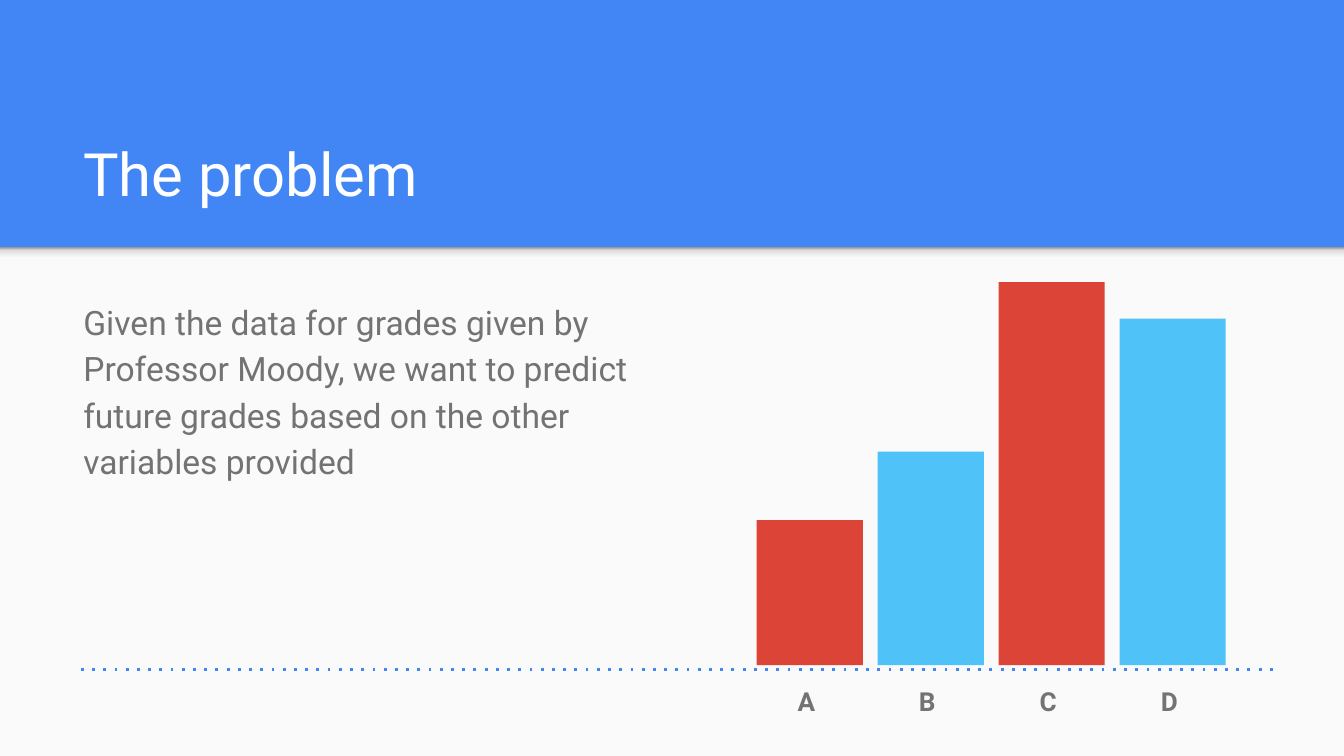
from dataclasses import dataclass

from lxml import etree
from pptx import Presentation
from pptx.dml.color import RGBColor
from pptx.enum.shapes import MSO_CONNECTOR, MSO_SHAPE
from pptx.enum.text import MSO_ANCHOR, MSO_AUTO_SIZE, PP_ALIGN
from pptx.oxml.ns import qn
from pptx.util import Inches, Pt

RECTANGLE = MSO_SHAPE.RECTANGLE
STRAIGHT = MSO_CONNECTOR.STRAIGHT
TOP, BOTTOM = MSO_ANCHOR.TOP, MSO_ANCHOR.BOTTOM
LEFT, CENTER = PP_ALIGN.LEFT, PP_ALIGN.CENTER
NO_AUTOFIT = MSO_AUTO_SIZE.NONE


@dataclass(frozen=True)
class Theme:
    font: str = "Roboto"
    blue: str = "4285F4"
    panel: str = "FAFAFA"
    red: str = "DB4437"
    sky: str = "4FC3F7"
    grey: str = "737373"
    white: str = "FFFFFF"
    shadow: tuple = ((0, "F9F9F9"), (36, "F9F9F9"), (80, "DEDEDE"), (100, "999999"))
    title_size: int = 32
    body_size: int = 18
    label_size: int = 14


THEME = Theme()
BARS = (
    ("A", 1.08, THEME.red),
    ("B", 1.59, THEME.sky),
    ("C", 2.85, THEME.red),
    ("D", 2.58, THEME.sky),
)
PAGE_WIDTH = 10
PAGE_HEIGHT = PAGE_WIDTH * 9 / 16
PANEL_TOP = 1.84
STEP = 0.9
BAR_LEFT, BAR_WIDTH, BAR_BOTTOM = 5.63, 0.79, 4.95
LABEL_LEFT, AXIS_TOP = 5.55, 4.98


def add_block(page, left, top, width, height, color):
    block = page.shapes.add_shape(
        RECTANGLE, Inches(left), Inches(top), Inches(width), Inches(height)
    )
    block.shadow.inherit = False
    block.fill.solid()
    block.fill.fore_color.rgb = RGBColor.from_string(color)
    block.line.fill.background()
    return block


def fade_upward(block, stops):
    block.fill.gradient()
    block.fill.gradient_angle = 90
    stop_list = block._element.spPr.find(qn("a:gradFill")).find(qn("a:gsLst"))
    for stop in list(stop_list):
        stop_list.remove(stop)
    for percent, color in stops:
        stop = etree.SubElement(stop_list, qn("a:gs"), pos=str(percent * 1000))
        etree.SubElement(stop, qn("a:srgbClr"), val=color)


def add_panel(page):
    panel = add_block(page, 0, PANEL_TOP, PAGE_WIDTH, PAGE_HEIGHT - PANEL_TOP, THEME.panel)
    shadow = add_block(page, 0, PANEL_TOP, PAGE_WIDTH, 0.12, THEME.panel)
    fade_upward(shadow, THEME.shadow)
    for index, block in enumerate((panel, shadow), start=2):
        page.shapes._spTree.insert(index, block._element)


def write(para, text, size, color, bold=False, align=LEFT, spacing=1.0):
    para.alignment = align
    para.line_spacing = spacing
    para.space_before = Pt(0)
    span = para.add_run()
    span.text = text
    span.font.name = THEME.font
    span.font.size = Pt(size)
    span.font.bold = bold
    span.font.color.rgb = RGBColor.from_string(color)


def set_margins(holder):
    holder.margin_left = holder.margin_right = Inches(0.1)
    holder.margin_top = holder.margin_bottom = Inches(0.1)


def place(box, left, top, width, height, anchor):
    box.left, box.top = Inches(left), Inches(top)
    box.width, box.height = Inches(width), Inches(height)
    frame = box.text_frame
    frame.word_wrap = True
    frame.auto_size = NO_AUTOFIT
    frame.vertical_anchor = anchor
    set_margins(frame)
    return frame.paragraphs[0]


def fill_title(page, text):
    para = place(page.shapes.title, 0.52, 0.81, 8.99, 0.84, BOTTOM)
    write(para, text, THEME.title_size, THEME.white)


def fill_body(page, text):
    para = place(page.placeholders[1], 0.52, 2.1, 4.37, 2.96, TOP)
    properties = para._p.get_or_add_pPr()
    properties.set("marL", "0")
    properties.set("indent", "0")
    etree.SubElement(properties, qn("a:buNone"))
    write(para, text, THEME.body_size, THEME.grey, spacing=1.15)
    para.space_after = Pt(16)


def clear_cell(cell):
    cell.fill.background()
    properties = cell._tc.get_or_add_tcPr()
    for index, side in enumerate(("a:lnL", "a:lnR", "a:lnT", "a:lnB")):
        border = etree.Element(qn(side))
        etree.SubElement(border, qn("a:noFill"))
        properties.insert(index, border)


def add_labels(page, labels):
    table = page.shapes.add_table(
        1, len(labels), Inches(LABEL_LEFT), Inches(AXIS_TOP),
        Inches(STEP * len(labels)), Inches(0.26)
    ).table
    table.first_row = table.horz_banding = False
    for cell, label in zip(table.rows[0].cells, labels):
        clear_cell(cell)
        set_margins(cell)
        write(cell.text_frame.paragraphs[0], label, THEME.label_size,
              THEME.grey, bold=True, align=CENTER, spacing=1.15)


def add_bars(page):
    for index, (_, height, color) in enumerate(BARS):
        add_block(page, BAR_LEFT + index * STEP, BAR_BOTTOM - height,
                  BAR_WIDTH, height, color)


def add_axis(page):
    axis = page.shapes.add_connector(
        STRAIGHT, Inches(9.47), Inches(AXIS_TOP), Inches(0.56), Inches(AXIS_TOP)
    )
    axis.line.color.rgb = RGBColor.from_string(THEME.blue)
    axis.line.width = Pt(1.5)
    properties = axis._element.spPr
    etree.SubElement(properties.find(qn("a:ln")), qn("a:prstDash"), val="dot")
    etree.SubElement(properties, qn("a:effectLst"))


def main():
    deck = Presentation()
    deck.slide_width, deck.slide_height = Inches(PAGE_WIDTH), Inches(PAGE_HEIGHT)
    page = deck.slides.add_slide(deck.slide_layouts[1])
    page.background.fill.solid()
    page.background.fill.fore_color.rgb = RGBColor.from_string(THEME.blue)
    add_panel(page)
    fill_title(page, "The problem")
    fill_body(page, "Given the data for grades given by Professor Moody, we want "
                    "to predict future grades based on the other variables provided")
    add_labels(page, [label for label, _, _ in BARS])
    add_bars(page)
    add_axis(page)
    deck.save("out.pptx")


if __name__ == "__main__":
    main()
